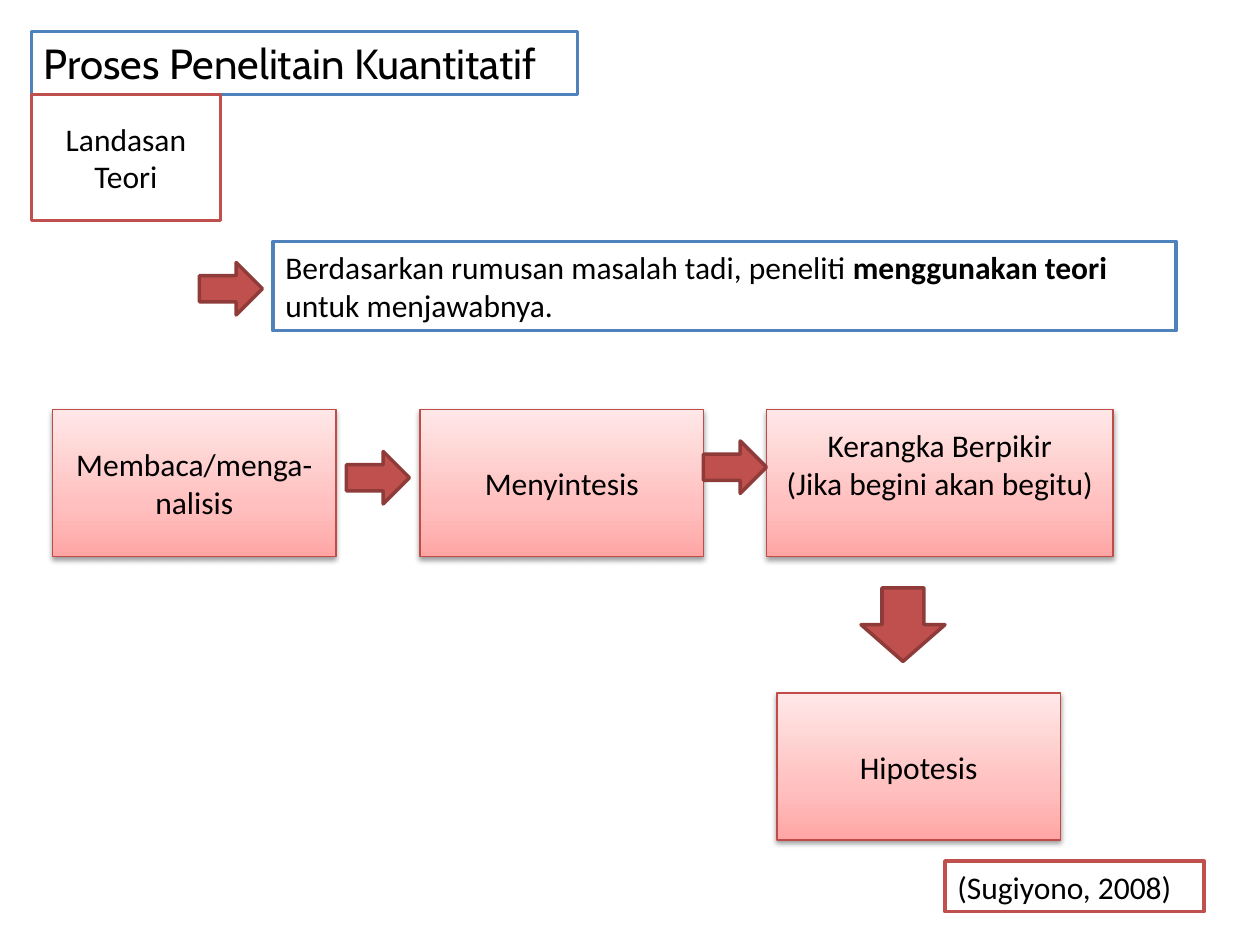
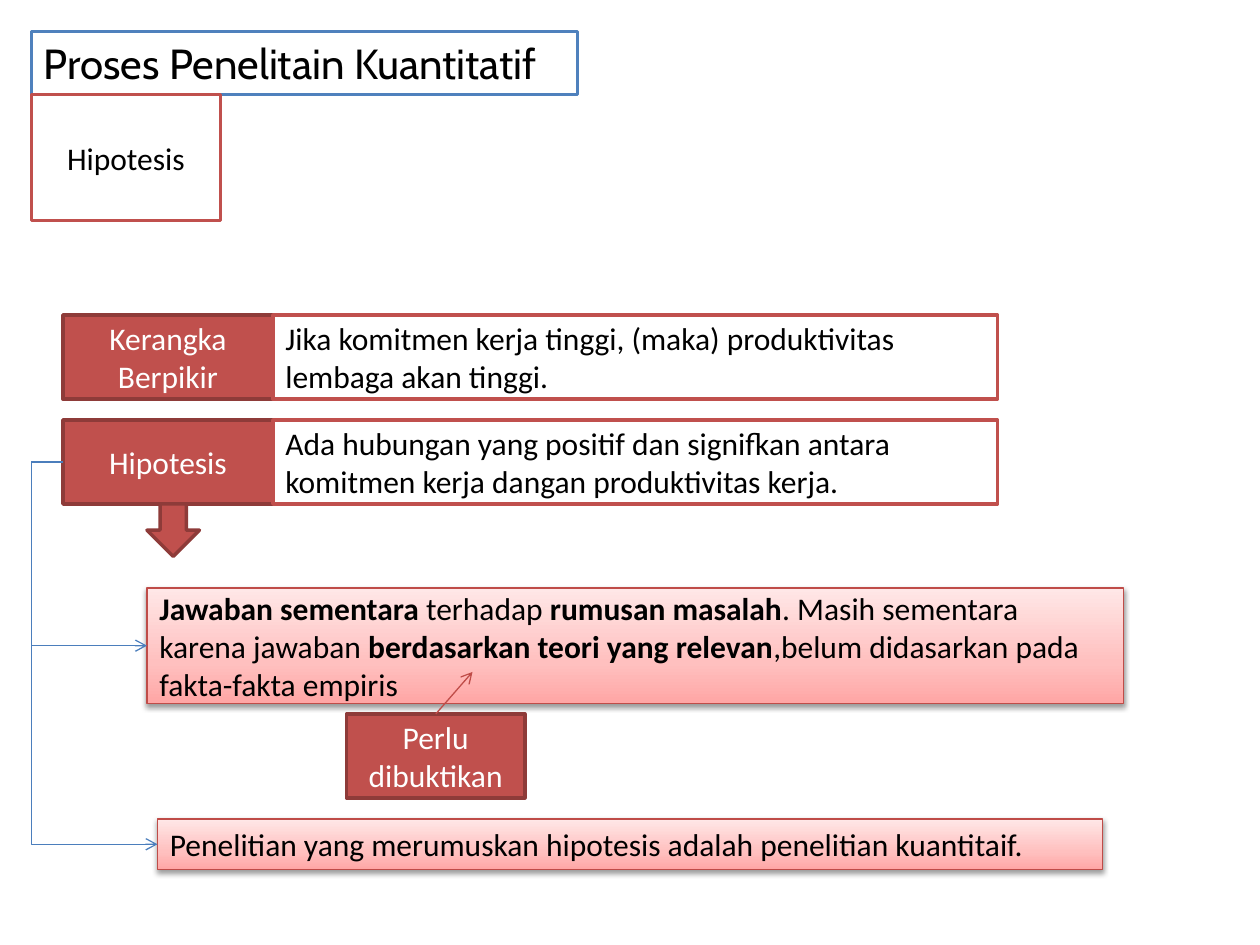
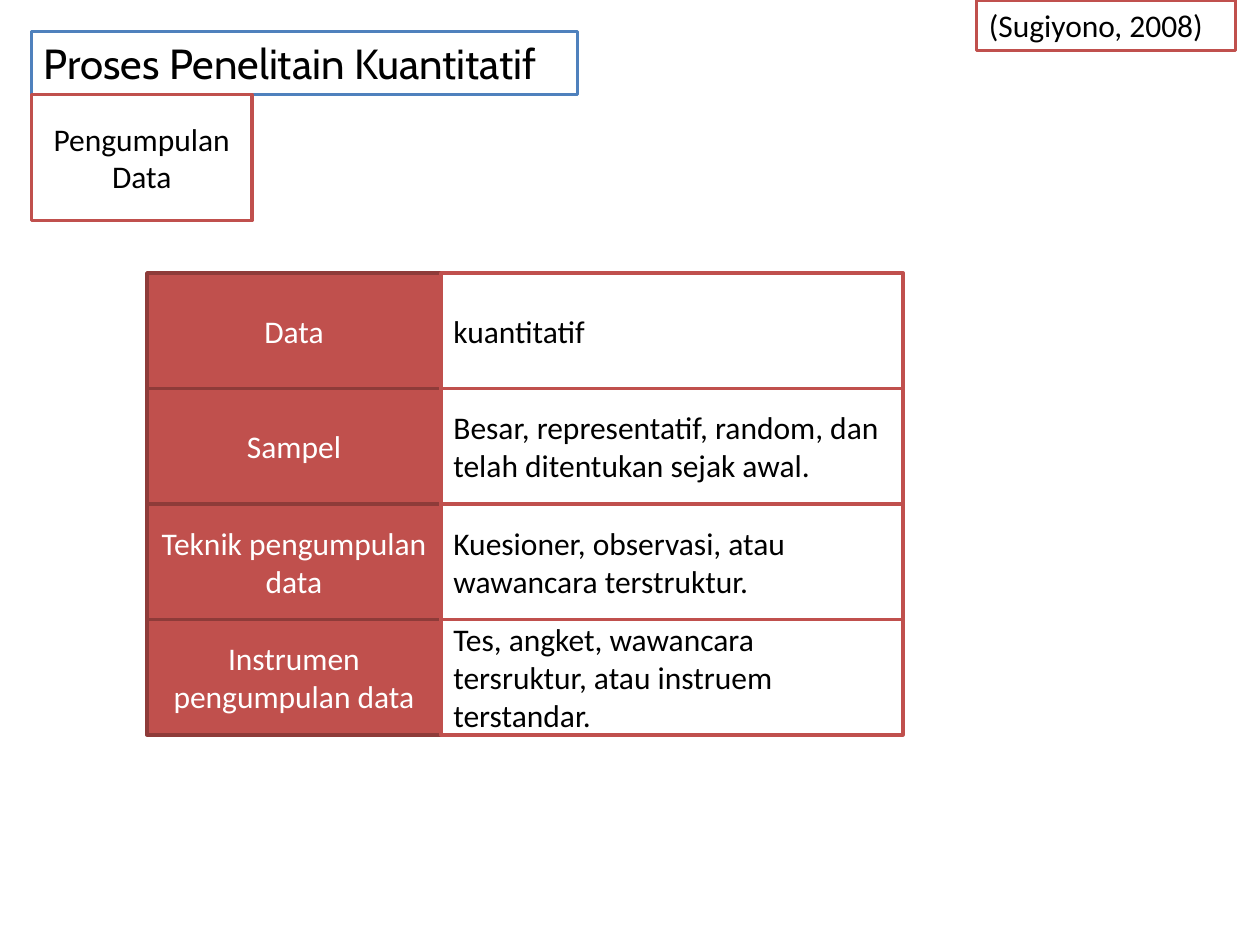
from lxml.etree import SubElement
from pptx import Presentation
from pptx.dml.color import RGBColor
from pptx.enum.shapes import MSO_CONNECTOR as CONNECTOR, MSO_SHAPE as SHAPE
from pptx.enum.text import MSO_ANCHOR as ANCHOR, PP_ALIGN as ALIGN
from pptx.oxml.ns import qn
from pptx.util import Pt

BLACK = RGBColor(0x00, 0x00, 0x00)
WHITE = RGBColor(0xFF, 0xFF, 0xFF)
BLUE = RGBColor(0x4F, 0x81, 0xBD)
RED = RGBColor(0xC0, 0x50, 0x4D)
DARK_RED = RGBColor(0x8E, 0x3B, 0x39)
RED_LINE = RGBColor(0xBF, 0x4C, 0x48)
BLUE_LINE = RGBColor(0x4B, 0x7E, 0xBC)
PINK_STOPS = [
    (0, RGBColor(0xFF, 0xA6, 0xA5)),
    (35, RGBColor(0xFF, 0xC0, 0xBF)),
    (100, RGBColor(0xFF, 0xE7, 0xE7)),
]
# style: fill (None for the pink gradient), line, line width, text colour
BLUE_FRAME = (WHITE, BLUE, 2, BLACK)
RED_FRAME = (WHITE, RED, 2, BLACK)
SOLID = (RED, DARK_RED, 2, WHITE)
PINK = (None, RED_LINE, 0.75, BLACK)
CITATION = "(Sugiyono, 2008)"


def add_box(slide, frame, style, text="", align=ALIGN.CENTER, kind=SHAPE.RECTANGLE,
            font="Calibri", size=18):
    """Add a shape; in text, \\n parts paragraphs, \\v lines, and ** marks bold."""
    fill, line, line_width, text_color = style
    shape = slide.shapes.add_shape(kind, *map(Pt, frame))
    shape.shadow.inherit = False
    shape.line.color.rgb = line
    shape.line.width = Pt(line_width)
    if fill is not None:
        shape.fill.solid()
        shape.fill.fore_color.rgb = fill
    else:
        shape.fill.gradient()
        shape.fill.gradient_angle = 90
        properties = shape._element.spPr
        stops = properties.find(qn("a:gradFill")).find(qn("a:gsLst"))
        for stop in list(stops):
            stops.remove(stop)
        for position, color in PINK_STOPS:
            stop = SubElement(stops, qn("a:gs"), pos=str(position * 1000))
            SubElement(stop, qn("a:srgbClr"), val=str(color))
        shadow = SubElement(properties.find(qn("a:effectLst")), qn("a:outerShdw"),
                            blurRad=str(Pt(3.1)), dist=str(Pt(1.6)), dir="5400000",
                            rotWithShape="0")
        shadow_color = SubElement(shadow, qn("a:srgbClr"), val=str(BLACK))
        SubElement(shadow_color, qn("a:alpha"), val="38000")

    frame_text = shape.text_frame
    frame_text.word_wrap = True
    frame_text.vertical_anchor = ANCHOR.MIDDLE
    for index, paragraph_text in enumerate(text.split("\n") if text else []):
        paragraph = frame_text.add_paragraph() if index else frame_text.paragraphs[0]
        paragraph.alignment = align
        for line_index, line_text in enumerate(paragraph_text.split("\v")):
            if line_index:
                paragraph.add_line_break()
            for part_index, part in enumerate(line_text.split("**")):
                if not part:
                    continue
                run = paragraph.add_run()
                run.text = part
                run.font.name = font
                run.font.size = Pt(size)
                run.font.bold = part_index % 2 == 1
                run.font.color.rgb = text_color
    return shape


def add_arrow_line(slide, kind, start, end, color):
    connector = slide.shapes.add_connector(kind, *map(Pt, start + end))
    connector.line.color.rgb = color
    connector.line.width = Pt(0.75)
    properties = connector._element.spPr
    SubElement(properties.find(qn("a:ln")), qn("a:tailEnd"), type="arrow")
    SubElement(properties, qn("a:effectLst"))
    return connector


presentation = Presentation()
presentation.slide_width = Pt(720)
presentation.slide_height = Pt(540)

# Every slide: title and topic box
slides = []
for topic, topic_width in [("Landasan Teori", 108), ("Hipotesis", 108),
                           ("Pengumpulan Data", 126)]:
    slide = presentation.slides.add_slide(presentation.slide_layouts[6])
    add_box(slide, (18, 18, 312, 36), BLUE_FRAME, "Proses Penelitain Kuantitatif",
            ALIGN.LEFT, font="Cabin", size=24)
    add_box(slide, (18, 54, topic_width, 72), RED_FRAME, topic)
    slides.append(slide)
theory_slide, hypothesis_slide, data_slide = slides

# Slide 1: from theory to hypothesis
add_box(theory_slide, (156, 138, 516, 51), BLUE_FRAME,
        "Berdasarkan rumusan masalah tadi, peneliti **menggunakan teori **"
        "untuk menjawabnya.", ALIGN.LEFT)
for frame, step in [
    ((30, 234, 162, 84), "Membaca/menga-\vnalisis"),
    ((240, 234, 162, 84), "Menyintesis"),
    ((438, 234, 198, 84), "Kerangka Berpikir\n(Jika begini akan begitu)"),
    ((444, 396, 162, 84), "Hipotesis"),
]:
    step_box = add_box(theory_slide, frame, PINK, step)
    if "\n" in step:
        step_box.text_frame.margin_bottom = Pt(25.6)
for left, top in [(114, 150), (198, 258), (402, 252)]:
    add_box(theory_slide, (left, top, 36, 30), SOLID, kind=SHAPE.RIGHT_ARROW)
add_box(theory_slide, (492, 336, 48, 42), SOLID, kind=SHAPE.DOWN_ARROW)
add_box(theory_slide, (540, 492, 148, 29), RED_FRAME, CITATION, ALIGN.LEFT)

# Slide 2: what a hypothesis is
for top, label, statement in [
    (180, "Kerangka Berpikir",
     "Jika komitmen kerja tinggi, (maka) produktivitas lembaga akan tinggi."),
    (240, "Hipotesis",
     "Ada hubungan yang positif dan signifkan antara komitmen kerja dangan "
     "produktivitas kerja."),
]:
    label_box = add_box(hypothesis_slide, (36, top, 120, 48), SOLID, label)
    add_box(hypothesis_slide, (156, top, 414, 48), RED_FRAME, statement, ALIGN.LEFT)
answer_box = add_box(
    hypothesis_slide, (84, 336, 558, 66), PINK,
    "**Jawaban sementara **terhadap **rumusan masalah**. Masih sementara karena jawaban "
    "**berdasarkan teori yang relevan**,belum didasarkan pada fakta-fakta empiris",
    ALIGN.LEFT)
add_box(hypothesis_slide, (84, 288, 30, 30), SOLID, kind=SHAPE.DOWN_ARROW)
proof_box = add_box(hypothesis_slide, (198, 408, 102, 48), SOLID, "Perlu dibuktikan")
proof_line = add_arrow_line(hypothesis_slide, CONNECTOR.STRAIGHT, (249, 408), (270, 384),
                            RED_LINE)
proof_line.begin_connect(proof_box, 0)
research_box = add_box(
    hypothesis_slide, (90, 468, 540, 29), PINK,
    "Penelitian yang merumuskan hipotesis adalah penelitian kuantitaif.", ALIGN.LEFT)
for target, left, middle in [(answer_box, 84, 369), (research_box, 90, 482.5)]:
    branch = add_arrow_line(hypothesis_slide, CONNECTOR.ELBOW, (36, 264), (left, middle),
                            BLUE_LINE)
    branch.begin_connect(label_box, 1)
    branch.end_connect(target, 1)
    bend = round(-18 / (left - 36) * 100000)
    guides = branch._element.spPr.find(qn("a:prstGeom")).find(qn("a:avLst"))
    SubElement(guides, qn("a:gd"), name="adj1", fmla=f"val {bend}")

# Slide 3: how data are collected
labels = ["Data", "Sampel", "Teknik pengumpulan data", "Instrumen pengumpulan data"]
details = [
    "kuantitatif",
    "Besar, representatif, random, dan telah ditentukan sejak awal.",
    "Kuesioner, observasi, atau wawancara terstruktur.",
    "Tes, angket, wawancara tersruktur, atau instruem terstandar.",
]
for left, width, style, align, texts in [
    (84, 168, SOLID, ALIGN.CENTER, labels),
    (252, 264, RED_FRAME, ALIGN.LEFT, details),
]:
    for row, text in enumerate(texts):
        add_box(data_slide, (left, 156 + 66 * row, width, 66), style, text, align)
add_box(data_slide, (558, 0, 148, 29), RED_FRAME, CITATION, ALIGN.LEFT)

presentation.save("out.pptx")
